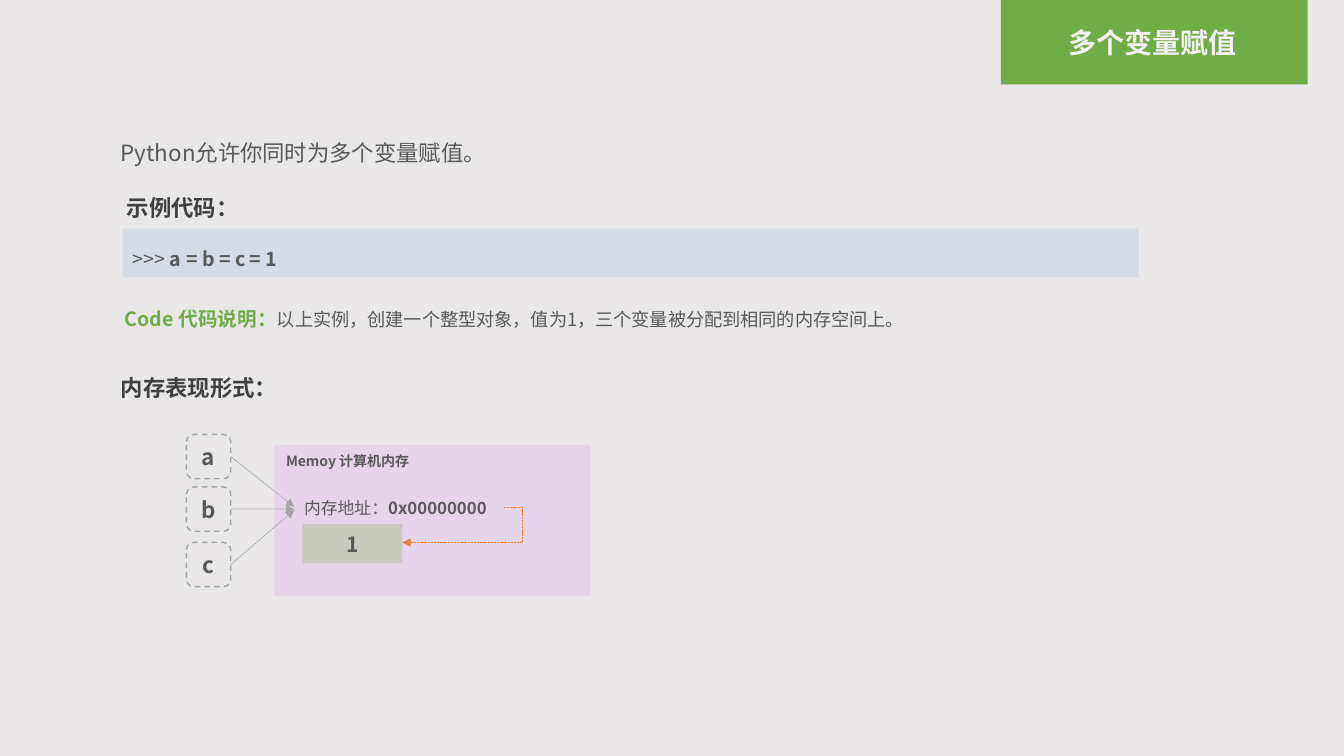
from collections import namedtuple
from dataclasses import dataclass

from lxml.etree import SubElement
from pptx import Presentation
from pptx.dml.color import RGBColor
from pptx.enum.dml import MSO_LINE
from pptx.enum.shapes import MSO_CONNECTOR, MSO_SHAPE
from pptx.enum.text import MSO_ANCHOR, MSO_AUTO_SIZE, PP_ALIGN
from pptx.oxml.ns import qn
from pptx.util import Pt


@dataclass(frozen=True)
class Theme:
    font: str = "Noto Sans CJK SC"
    background: str = "E9E7E7"
    green: str = "70AD47"
    title_text: str = "F2F2F2"
    heading_text: str = "404040"
    text: str = "595959"
    code_bar: str = "D6DCE5"
    memory: str = "E0A1F1"
    grey: str = "A5A5A5"
    orange: str = "ED7D31"
    title_size: float = 20
    heading_size: float = 16
    code_size: float = 14
    note_size: float = 13
    value_size: float = 15
    address_size: float = 12
    label_size: float = 10


THEME = Theme()
Box = namedtuple("Box", "left top width height")


def inside(box, left, top, width, height):
    """Return a box given by its offset from the corner of another."""
    return Box(box.left + left, box.top + top, width, height)


def write(shape, *runs, size=THEME.heading_size, color=THEME.text, bold=False,
          align=PP_ALIGN.LEFT, anchor=MSO_ANCHOR.TOP, spacing=1.0, wrap=True):
    """Each run is a string, or a string with its own format in a dict."""
    frame = shape.text_frame
    frame.word_wrap = wrap
    frame.vertical_anchor = anchor
    paragraph = frame.paragraphs[0]
    paragraph.alignment = align
    paragraph.line_spacing = spacing
    for item in runs:
        text, own = (item, {}) if isinstance(item, str) else item
        run = paragraph.add_run()
        run.text = text
        font = run.font
        font.name = THEME.font
        font.size = Pt(own.get("size", size))
        font.bold = own.get("bold", bold)
        font.color.rgb = RGBColor.from_string(own.get("color", color))
        SubElement(font._element, qn("a:ea"), typeface=THEME.font)


def add_text(slide, box, *runs, grow=True, **text_format):
    shape = slide.shapes.add_textbox(*map(Pt, box))
    write(shape, *runs, **text_format)
    if grow:
        shape.text_frame.auto_size = MSO_AUTO_SIZE.SHAPE_TO_FIT_TEXT
    return shape


def add_block(slide, box, fill=None, opacity=100, kind=MSO_SHAPE.RECTANGLE):
    shape = slide.shapes.add_shape(kind, *map(Pt, box))
    shape.shadow.inherit = False
    shape.line.fill.background()
    if fill is None:
        shape.fill.background()
        return shape
    shape.fill.solid()
    shape.fill.fore_color.rgb = RGBColor.from_string(fill)
    if opacity < 100:
        color = shape._element.spPr.find(qn("a:solidFill"))[0]
        SubElement(color, qn("a:alpha"), val=str(opacity * 1000))
    return shape


def set_line(line, color, width, dash):
    line.color.rgb = RGBColor.from_string(color)
    line.width = Pt(width)
    line.dash_style = dash


def add_arrow(slide, start, end, color, kind=MSO_CONNECTOR.STRAIGHT, bend=None):
    arrow = slide.shapes.add_connector(kind, *map(Pt, (*start, *end)))
    set_line(arrow.line, color, 0.5, MSO_LINE.SQUARE_DOT)
    properties = arrow._element.spPr
    SubElement(properties.find(qn("a:ln")), qn("a:tailEnd"), type="triangle")
    SubElement(properties, qn("a:effectLst"))
    if bend is not None:
        guides = properties.find(qn("a:prstGeom")).get_or_add_avLst()
        SubElement(guides, qn("a:gd"), name="adj1", fmla=f"val {round(bend * 100000)}")


def add_title(slide, box):
    add_block(slide, box, THEME.green)
    add_text(slide, inside(box, 0.5, 16.5, 216, 30.5), "多个变量赋值",
             size=THEME.title_size, color=THEME.title_text, bold=True, grow=False,
             align=PP_ALIGN.CENTER, anchor=MSO_ANCHOR.MIDDLE, spacing=0.9)


def add_heading(slide, box, text):
    add_text(slide, box, text, color=THEME.heading_text, bold=True, wrap=False)


def add_example(slide, box):
    add_text(slide, inside(box, 0, 0, 699, 33),
             "Python允许你同时为多个变量赋值。", spacing=1.5)
    # Code bar under its heading
    bar = add_block(slide, inside(box, 8.6, 77, 725.8, 34.5), THEME.code_bar)
    write(bar, ">>> ", ("a = b = c = 1", {"bold": True}), size=THEME.code_size,
          anchor=MSO_ANCHOR.MIDDLE, spacing=1.5)
    add_heading(slide, inside(box, 4.3, 49, 95, 26.6), "示例代码：")
    # Explanation
    label = {"size": THEME.code_size, "color": THEME.green, "bold": True}
    add_text(slide, inside(box, 2.9, 129.6, 603.4, 24.5), ("Code 代码说明：", label),
             "以上实例，创建一个整型对象，值为1，三个变量被分配到相同的内存空间上。",
             size=THEME.note_size)


def add_memory(slide, box):
    add_heading(slide, inside(box, 0, 0, 127.4, 26.6), "内存表现形式：")
    # Memory panel with its address and value
    add_block(slide, inside(box, 116.8, 54.2, 225.8, 108), THEME.memory, opacity=25)
    add_text(slide, inside(box, 118, 56.2, 106.6, 19.4), "Memoy 计算机内存",
             size=THEME.label_size, bold=True, wrap=False)
    value = add_block(slide, inside(box, 136.8, 110.9, 71.5, 28), THEME.green, opacity=25)
    write(value, "1", size=THEME.value_size, bold=True,
          align=PP_ALIGN.CENTER, anchor=MSO_ANCHOR.MIDDLE)
    add_text(slide, inside(box, 131, 88.6, 149, 21.6), "内存地址：",
             ("0x00000000", {"bold": True}), size=THEME.address_size, wrap=False)
    # Variables, each pointing at the address
    side = 31.7
    for name, top, target in (("a", 46.8, 98.6), ("b", 84.3, 100.1), ("c", 123.9, 100.8)):
        cell = inside(box, 54, top, side, side)
        variable = add_block(slide, cell, kind=MSO_SHAPE.ROUNDED_RECTANGLE)
        set_line(variable.line, THEME.grey, 1, MSO_LINE.DASH)
        write(variable, name, bold=True, align=PP_ALIGN.CENTER, anchor=MSO_ANCHOR.MIDDLE)
        add_arrow(slide, (cell.left + side, cell.top + side / 2),
                  (box.left + 131, box.top + target), THEME.grey)
    # Address to value
    add_arrow(slide, (box.left + 280.8, box.top + 98.6),
              (box.left + 208.3, box.top + 124), THEME.orange,
              kind=MSO_CONNECTOR.ELBOW, bend=-0.18)


presentation = Presentation()
presentation.slide_width, presentation.slide_height = Pt(960), Pt(540)
slide = presentation.slides.add_slide(presentation.slide_layouts[6])
slide.background.fill.solid()
slide.background.fill.fore_color.rgb = RGBColor.from_string(THEME.background)

add_title(slide, Box(715, 0, 219, 60.3))
add_example(slide, Box(79.2, 86.4, 735, 155))
add_memory(slide, Box(79.2, 263.5, 343, 163))
presentation.save("out.pptx")
